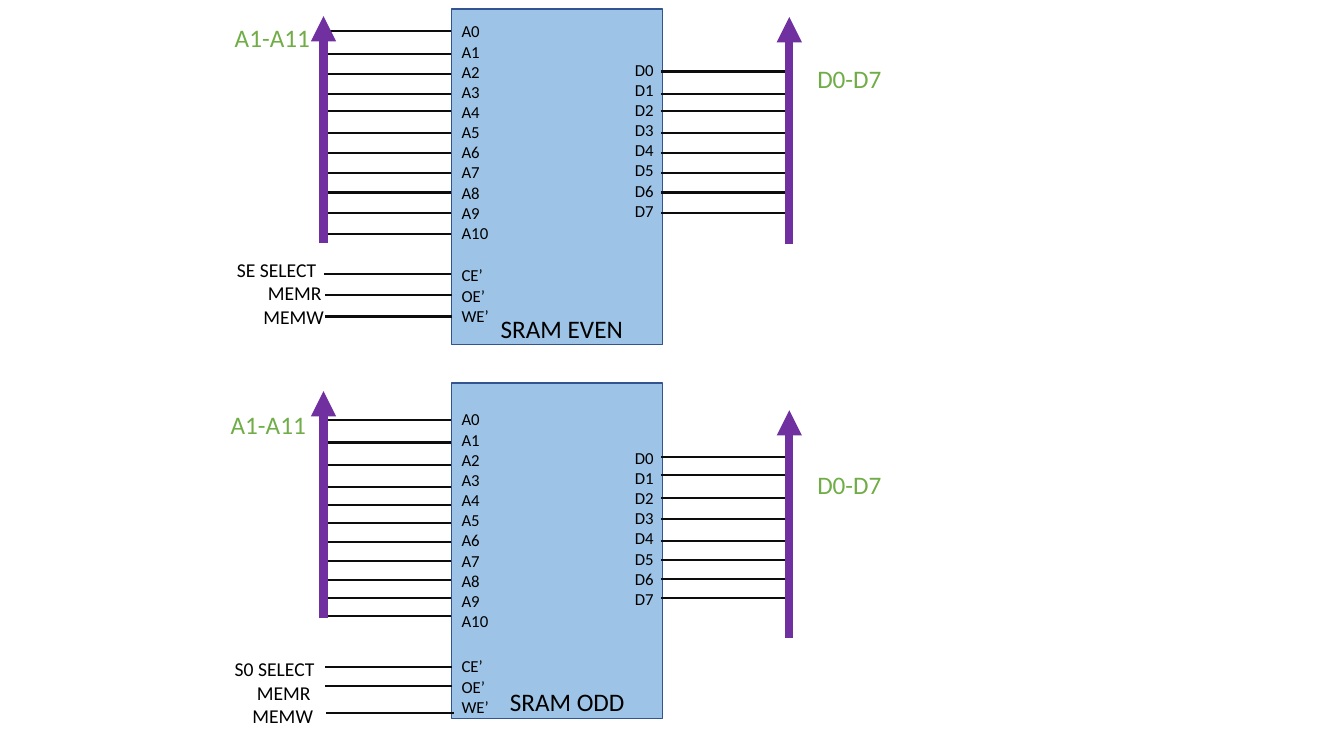
from lxml import etree
from pptx import Presentation
from pptx.dml.color import RGBColor
from pptx.enum.shapes import MSO_CONNECTOR, MSO_SHAPE
from pptx.enum.text import MSO_AUTO_SIZE
from pptx.oxml.ns import qn
from pptx.util import Pt

LINE = MSO_CONNECTOR.STRAIGHT
RECT = MSO_SHAPE.RECTANGLE
GROW = MSO_AUTO_SIZE.SHAPE_TO_FIT_TEXT

BLACK = RGBColor(0x00, 0x00, 0x00)
WIRE = RGBColor(0x0D, 0x0D, 0x0D)
BLUE = RGBColor(0x9D, 0xC3, 0xE6)
EDGE = RGBColor(0x32, 0x54, 0x91)
GREEN = RGBColor(0x70, 0xAD, 0x47)
PURPLE = RGBColor(0x70, 0x30, 0xA0)

FONT = "Calibri"
CHIP_X, CHIP_W, CHIP_H = 322.6, 150.5, 239.8
ADDR_X, DATA_X = 231.1, 563.8
WIRE_W = 91.4
BUS_H = 162.4

ADDR_PINS = [f"A{i}" for i in range(11)]
DATA_PINS = [f"D{i}" for i in range(8)]
CTRL_PINS = ["CE’", "OE’", "WE’"]

# Wire heights that both sides of the even chip share
SHARED = [67, 79.2, 95, 109.4, 123.8, 137.5, 151.9]

EVEN = {
    "top": 6.5,
    "name": ("SRAM EVEN", 350.6, 220.3),
    "pins": (11.5, 38.9, 185.8),
    "addr": [22.3, 38.9, 52.6, *SHARED, 167],
    "data": [51.1, *SHARED],
    "ctrl": [(231.1, 195.8), (231.8, 211), (231.8, 226.1)],
    "buses": (11.5, 12.2),
    "bus_tags": ((160.6, 12.2), (576.7, 41.8)),
    "signals": (["SE SELECT", "MEMR", "MEMW"], 152.6, 180.5, [9.5, 31.6, 28.5]),
}
ODD = {
    "top": 273.6,
    "name": ("SRAM ODD", 357.1, 486.7),
    "pins": (288.7, 316.1, 465.1),
    "addr": [300.2, 316.1, 331.9, 347.8, 360.7, 373.7,
             387.4, 401, 414, 427, 439.9],
    "data": [326.2, 339.1, 355.7, 370.8, 386.6, 400.3, 413.3, 427],
    "ctrl": [(231.8, 476.6), (231.8, 490.3), (232.6, 509)],
    "buses": (279.4, 293),
    "bus_tags": ((157.7, 288.7), (576.7, 331.9)),
    "signals": (["S0 SELECT", "MEMR", "MEMW"], 160.6, 465.8, [0, 15.8, 12.6]),
}


def add_text(slide, lines, x, y, w, size=12, color=BLACK, indents=None):
    """Add one paragraph a line, each with its own left indent in points."""
    box = slide.shapes.add_textbox(Pt(x), Pt(y), Pt(w),
                                   Pt(len(lines) * size * 1.22 + 7.2))
    frame = box.text_frame
    frame.word_wrap = True
    frame.auto_size = GROW
    for i, line in enumerate(lines):
        para = frame.paragraphs[0] if i == 0 else frame.add_paragraph()
        if indents:
            para._p.get_or_add_pPr().set("marL", str(Pt(indents[i])))
        run = para.add_run()
        run.text = line
        run.font.name = FONT
        run.font.size = Pt(size)
        run.font.color.rgb = color


def add_line(slide, start, end, color=WIRE, width=1.5):
    line = slide.shapes.add_connector(LINE, *map(Pt, start + end))
    line.line.color.rgb = color
    line.line.width = Pt(width)
    etree.SubElement(line._element.spPr, qn("a:effectLst"))
    return line


def add_wire(slide, x, y):
    add_line(slide, (x + WIRE_W, y), (x, y))


def add_bus(slide, x, top):
    """Add a thick arrow that points up to top."""
    bus = add_line(slide, (x, top + BUS_H), (x, top), PURPLE, 6)
    etree.SubElement(bus.line._get_or_add_ln(), qn("a:tailEnd"), type="triangle")


def add_chip(slide, top):
    chip = slide.shapes.add_shape(RECT, Pt(CHIP_X), Pt(top),
                                  Pt(CHIP_W), Pt(CHIP_H))
    chip.shadow.inherit = False
    chip.fill.solid()
    chip.fill.fore_color.rgb = BLUE
    chip.line.color.rgb = EDGE
    chip.line.width = Pt(1)


def add_bank(slide, bank):
    """Add a memory chip with its pins, wires, buses and labels."""
    add_chip(slide, bank["top"])
    addr_y, data_y, ctrl_y = bank["pins"]
    add_text(slide, ADDR_PINS, CHIP_X, addr_y, 46)
    add_text(slide, DATA_PINS, 446.4, data_y, 67)
    add_text(slide, CTRL_PINS, CHIP_X, ctrl_y, 85)
    name, x, y = bank["name"]
    add_text(slide, [name], x, y, 124.6, size=18)

    for y in bank["addr"]:
        add_wire(slide, ADDR_X, y)
    for y in bank["data"]:
        add_wire(slide, DATA_X - WIRE_W, y)
    for x, y in bank["ctrl"]:
        add_wire(slide, x, y)

    for x, top in zip((ADDR_X, DATA_X), bank["buses"]):
        add_bus(slide, x, top)
    for tag, (x, y) in zip(("A1-A11", "D0-D7"), bank["bus_tags"]):
        add_text(slide, [tag], x, y, 90.7, size=18, color=GREEN)
    names, x, y, indents = bank["signals"]
    add_text(slide, names, x, y, 119.5, size=14, indents=indents)


def main():
    deck = Presentation()
    deck.slide_width, deck.slide_height = Pt(960), Pt(540)
    slide = deck.slides.add_slide(deck.slide_layouts[6])
    for bank in (EVEN, ODD):
        add_bank(slide, bank)
    deck.save("out.pptx")


if __name__ == "__main__":
    main()
